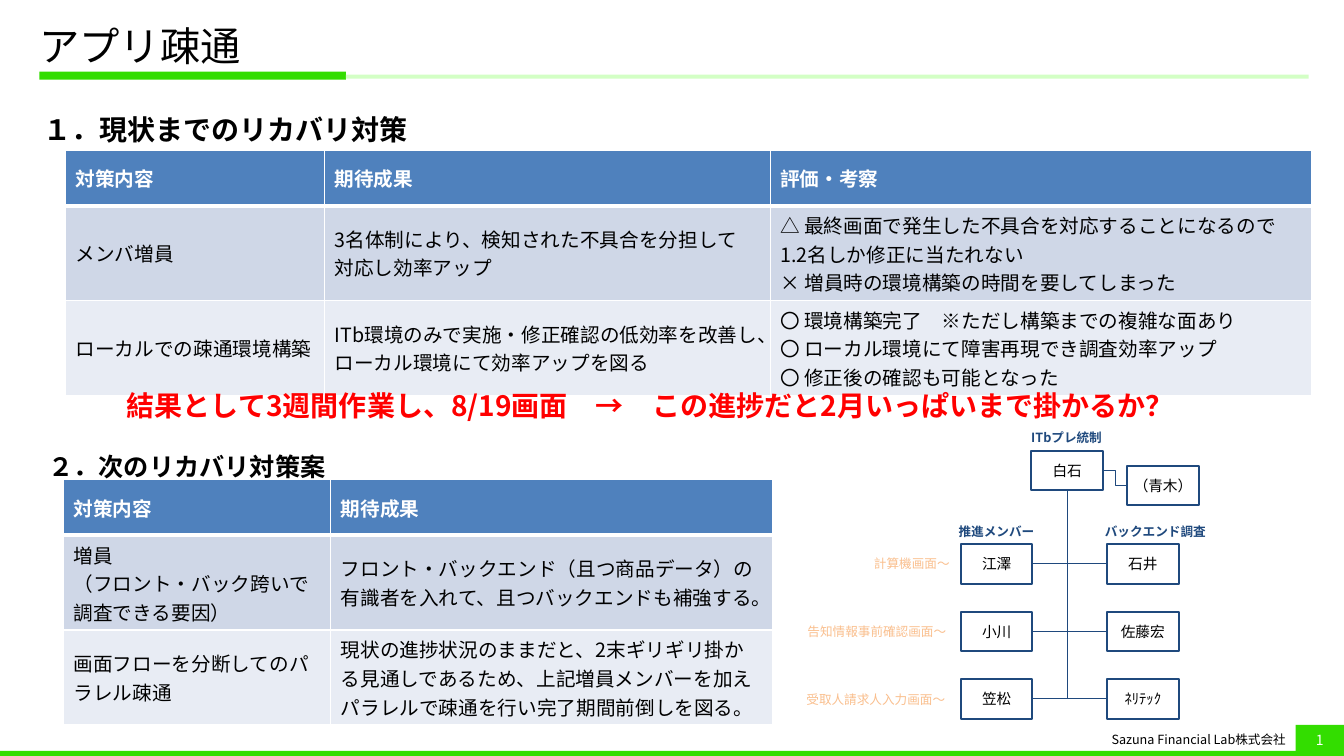
import pptx
import pptx.dml.color
import pptx.enum.shapes
import pptx.enum.text
import pptx.oxml
import pptx.oxml.ns
import pptx.util
from pptx.util import Inches

RGBColor = pptx.dml.color.RGBColor
ALIGN = pptx.enum.text.PP_ALIGN
ANCHOR = pptx.enum.text.MSO_ANCHOR
CONNECTOR = pptx.enum.shapes.MSO_CONNECTOR

BLACK = RGBColor(0x00, 0x00, 0x00)
WHITE = RGBColor(0xFF, 0xFF, 0xFF)
RED = RGBColor(0xFF, 0x00, 0x00)
GREEN = RGBColor(0x33, 0xDD, 0x00)
PALE_GREEN = RGBColor(0xD3, 0xFF, 0xC5)
NAVY = RGBColor(0x1F, 0x49, 0x7D)
PEACH = RGBColor(0xFA, 0xBF, 0x8E)
HEADER_BLUE = RGBColor(0x4F, 0x81, 0xBD)
BANDS = (RGBColor(0xCF, 0xD7, 0xE7), RGBColor(0xE8, 0xEC, 0xF4))
FONT = "Noto Sans CJK JP"

LEFT_SITE, BOTTOM_SITE, RIGHT_SITE = 1, 2, 3

RECOVERY_DONE = [
    ["対策内容", "期待成果", "評価・考察"],
    ["メンバ増員",
     "3名体制により、検知された不具合を分担して\n対応し効率アップ",
     "△ 最終画面で発生した不具合を対応することになるので1.2名しか修正に当たれない\n"
     "× 増員時の環境構築の時間を要してしまった"],
    ["ローカルでの疎通環境構築",
     "ITb環境のみで実施・修正確認の低効率を改善し、ローカル環境にて効率アップを図る",
     "〇 環境構築完了　※ただし構築までの複雑な面あり\n"
     "〇 ローカル環境にて障害再現でき調査効率アップ\n"
     "〇 修正後の確認も可能となった"],
]
RECOVERY_NEXT = [
    ["対策内容", "期待成果"],
    ["増員\n（フロント・バック跨いで調査できる要因）",
     "フロント・バックエンド（且つ商品データ）の有識者を入れて、且つバックエンドも補強する。"],
    ["画面フローを分断してのパラレル疎通",
     "現状の進捗状況のままだと、2末ギリギリ掛かる見通しであるため、"
     "上記増員メンバーを加えパラレルで疎通を行い完了期間前倒しを図る。"],
]
# Task label, its left offset, promotion member, back-end member
TEAM_ROWS = [
    ("計算機画面～", 0.67, "江澤", "石井"),
    ("告知情報事前確認画面～", 0.01, "小川", "佐藤宏"),
    ("受取人請求人入力画面～", 0, "笠松", "ﾈﾘﾃｯｸ"),
]


def write_text(frame, text, *, size, color=BLACK, bold=False, align=ALIGN.LEFT, spacing=None):
    """Fill a text frame, one paragraph for each line of text."""
    frame.word_wrap = True
    for index, line in enumerate(text.split("\n")):
        paragraph = frame.add_paragraph() if index else frame.paragraphs[0]
        paragraph.alignment = align
        if spacing:
            paragraph.line_spacing = spacing
        run = paragraph.add_run()
        run.text = line
        run.font.size = pptx.util.Pt(size)
        run.font.bold = bold
        run.font.color.rgb = color
        run.font.name = FONT
        east_asian = pptx.oxml.parse_xml(
            f'<a:ea {pptx.oxml.ns.nsdecls("a")} typeface="{FONT}"/>')
        run.font._element.find(pptx.oxml.ns.qn("a:latin")).addnext(east_asian)


def add_label(slide, box, text, *, anchor=ANCHOR.TOP, **text_format):
    shape = slide.shapes.add_textbox(*map(Inches, box))
    shape.text_frame.vertical_anchor = anchor
    write_text(shape.text_frame, text, **text_format)
    return shape


def add_rectangle(slide, box, fill, line=None):
    shape = slide.shapes.add_shape(
        pptx.enum.shapes.MSO_SHAPE.RECTANGLE, *map(Inches, box))
    shape.shadow.inherit = False
    shape.fill.solid()
    shape.fill.fore_color.rgb = fill
    if line is None:
        shape.line.fill.background()
    else:
        shape.line.color.rgb = line
        shape.line.width = pptx.util.Pt(1.5)
    return shape


def add_title(slide, left, top, width, title):
    accent = 3.04
    add_rectangle(slide, (left, top + 0.51, accent, 0.08), GREEN)
    add_rectangle(slide, (left + accent, top + 0.54, width - accent, 0.04), PALE_GREEN)
    label = add_label(slide, (left, top, width, 0.56), title, size=28.8,
                      spacing=0.9, anchor=ANCHOR.MIDDLE)
    label.text_frame.margin_left = 0


def add_footer(slide, width, bottom, company, number):
    add_rectangle(slide, (0, bottom - 0.05, width, 0.05), GREEN)
    add_label(slide, (width - 2.47, bottom - 0.3, 1.99, 0.27), company, size=9,
              align=ALIGN.RIGHT, anchor=ANCHOR.MIDDLE)
    badge = add_rectangle(slide, (width - 0.48, bottom - 0.31, 0.48, 0.31), GREEN)
    badge.text_frame.vertical_anchor = ANCHOR.MIDDLE
    write_text(badge.text_frame, number, size=10, color=WHITE, align=ALIGN.CENTER)


def set_borders(cell, bottom_points):
    """Give a cell white edges, 1 point wide except at the bottom."""
    properties = cell._tc.get_or_add_tcPr()
    edges = (("lnL", 1), ("lnR", 1), ("lnT", 1), ("lnB", bottom_points))
    for position, (edge, points) in enumerate(edges):
        properties.insert(position, pptx.oxml.parse_xml(
            f'<a:{edge} {pptx.oxml.ns.nsdecls("a")} w="{pptx.util.Pt(points)}">'
            f'<a:solidFill><a:srgbClr val="{WHITE}"/></a:solidFill></a:{edge}>'))


def add_measures(slide, left, top, widths, rows):
    heights = [0.55] + [0.94] * (len(rows) - 1)
    box = (left, top, sum(widths), sum(heights))
    table = slide.shapes.add_table(len(rows), len(widths), *map(Inches, box)).table
    for column, width in zip(table.columns, widths):
        column.width = Inches(width)
    for index, (row, texts) in enumerate(zip(table.rows, rows)):
        is_header = index == 0
        row.height = Inches(heights[index])
        for cell, text in zip(row.cells, texts):
            cell.fill.solid()
            cell.fill.fore_color.rgb = HEADER_BLUE if is_header else BANDS[(index - 1) % 2]
            cell.vertical_anchor = ANCHOR.MIDDLE
            set_borders(cell, 3 if is_header else 1)
            write_text(cell.text_frame, text, size=14, bold=is_header,
                       color=WHITE if is_header else BLACK)


def add_section(slide, left, top, heading, widths, rows, *, indent, drop, size, spacing):
    """Place a heading, with its table indented and dropped below it."""
    add_label(slide, (left, top, 6, drop), heading, size=size, bold=True, spacing=spacing)
    add_measures(slide, left + indent, top + drop, widths, rows)


def add_member(slide, left, top, name):
    shape = add_rectangle(slide, (left, top, 0.71, 0.39), WHITE, NAVY)
    frame = shape.text_frame
    frame.margin_left = frame.margin_right = frame.margin_top = frame.margin_bottom = Inches(0.04)
    frame.vertical_anchor = ANCHOR.MIDDLE
    write_text(frame, name, size=10.5, align=ALIGN.CENTER)
    return shape


def connect(slide, start, start_site, end, end_site, preset):
    connector = slide.shapes.add_connector(CONNECTOR.ELBOW, 0, 0, 0, 0)
    connector.begin_connect(start, start_site)
    connector.end_connect(end, end_site)
    connector.line.color.rgb = NAVY
    connector.line.width = pptx.util.Pt(0.75)
    properties = connector._element.spPr
    properties.find(pptx.oxml.ns.qn("a:prstGeom")).set("prst", preset)
    properties.append(pptx.oxml.parse_xml(
        f'<a:effectLst {pptx.oxml.ns.nsdecls("a")}/>'))


def add_team_chart(slide, left, top):
    for x, y, width, role in ((2.23, 0, 1.0, "ITbプレ統制"),
                              (1.51, 0.93, 1.0, "推進メンバー"),
                              (2.96, 0.93, 1.25, "バックエンド調査")):
        add_label(slide, (left + x, top + y, width, 0.25), role,
                  size=9, color=NAVY, bold=True)
    leader = add_member(slide, left + 2.33, top + 0.25, "白石")
    deputy = add_member(slide, left + 3.28, top + 0.4, "（青木）")
    connect(slide, deputy, LEFT_SITE, leader, RIGHT_SITE, "bentConnector3")
    for index, (task, task_left, promoter, engineer) in enumerate(TEAM_ROWS):
        row_top = top + 1.18 + 0.67 * index
        add_label(slide, (left + task_left, row_top + 0.07, 1.63 - task_left, 0.25),
                  task, size=9, color=PEACH)
        for x, name, site in ((1.63, promoter, RIGHT_SITE), (3.08, engineer, LEFT_SITE)):
            member = add_member(slide, left + x, row_top, name)
            connect(slide, member, site, leader, BOTTOM_SITE, "bentConnector2")


def main():
    presentation = pptx.Presentation()
    presentation.slide_width = Inches(13.33)
    presentation.slide_height = Inches(7.5)
    slide = presentation.slides.add_slide(presentation.slide_layouts[6])
    add_title(slide, 0.39, 0.2, 12.59, "アプリ疎通")
    add_footer(slide, 13.33, 7.5, "Sazuna Financial Lab株式会社", "1")
    add_section(slide, 0.33, 0.93, "１．現状までのリカバリ対策", (2.57, 4.42, 5.37),
                RECOVERY_DONE, indent=0.32, drop=0.56, size=20, spacing=1.4)
    add_section(slide, 0.38, 4.26, "２．次のリカバリ対策案", (2.65, 4.38),
                RECOVERY_NEXT, indent=0.25, drop=0.5, size=18, spacing=1.56)
    add_label(slide, (1.16, 3.67, 11.93, 0.49),
              "結果として3週間作業し、8/19画面　→　この進捗だと2月いっぱいまで掛かるか？",
              size=20, color=RED, bold=True, spacing=1.4)
    add_team_chart(slide, 7.9, 4.22)
    presentation.save("out.pptx")


if __name__ == "__main__":
    main()
